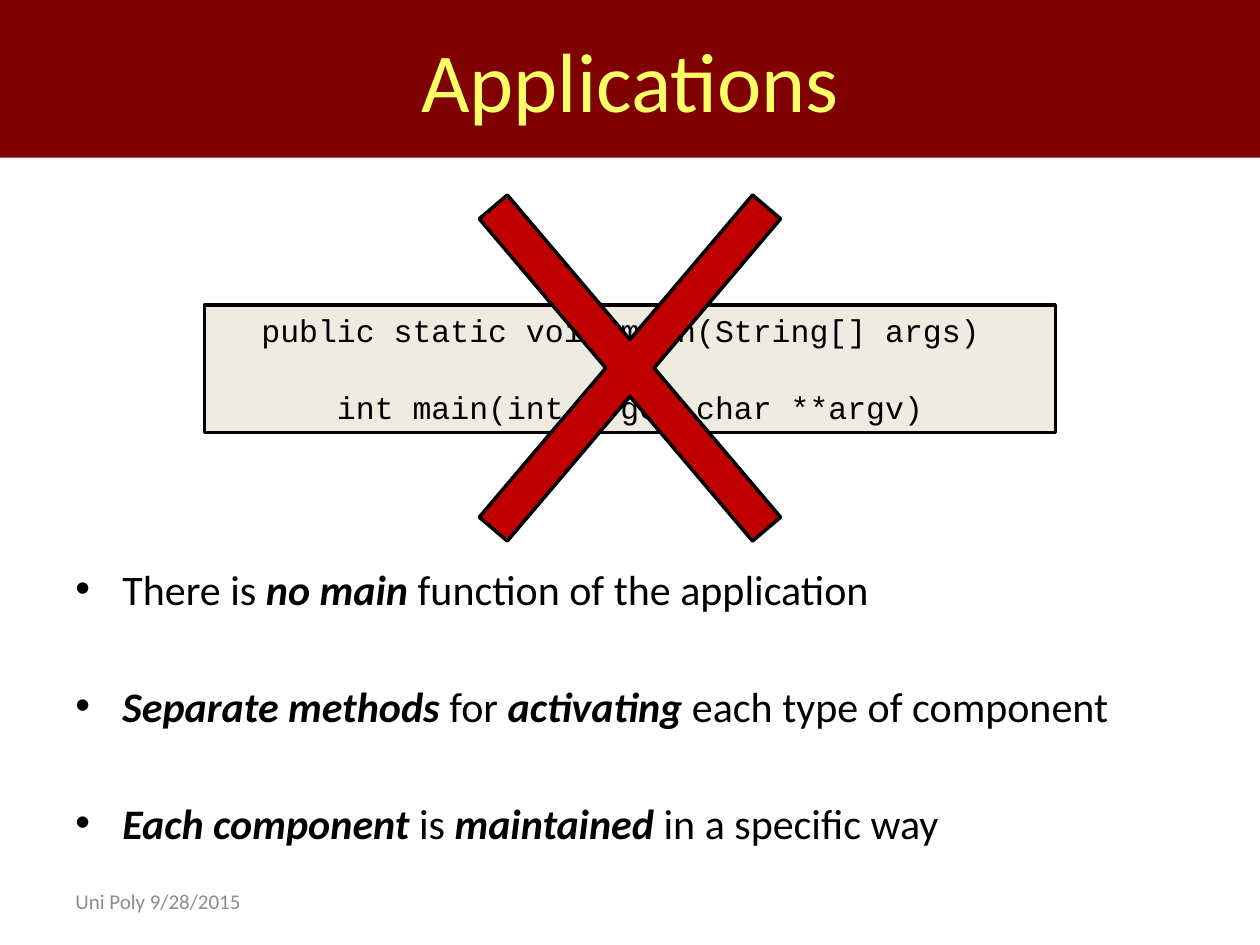
import pptx
import pptx.util
from lxml import etree
from pptx.dml.color import RGBColor
from pptx.enum.shapes import MSO_SHAPE
from pptx.enum.text import MSO_ANCHOR, MSO_AUTO_SIZE, PP_ALIGN
from pptx.oxml.ns import qn

Cm, Pt = pptx.util.Cm, pptx.util.Pt

TITLE = "Applications"
FOOTER = "Uni Poly 9/28/2015"
CODE = [
    "public static void main(String[] args) ",
    "int main(int argc, char **argv)",
]
# Each point is a list of (text, stressed) parts.
POINTS = [
    [("There is ", False), ("no main ", True),
     ("function of the application", False)],
    [("Separate methods ", True), ("for ", False), ("activating", True),
     (" each type of component", False)],
    [("Each component", True), (" is ", False), ("maintained", True),
     (" in a specific way", False)],
]
WIDE, HIGH = 25.4, 19.05
EDGE = 1.27
INDENT = 0.95


def color(text):
    return RGBColor.from_string(text)


def style(run, size, tint, face="Calibri"):
    run.font.size = Pt(size)
    run.font.name = face
    run.font.color.rgb = color(tint)


def place(shape, left, top, width, height):
    shape.left, shape.top = Cm(left), Cm(top)
    shape.width, shape.height = Cm(width), Cm(height)


def add_text(slide, *box):
    frame = slide.shapes.add_textbox(*map(Cm, box)).text_frame
    frame.word_wrap = True
    return frame


def add_block(slide, kind, fill, top, width, height):
    """Add an outlined shape centred across the slide."""
    left = (WIDE - width) / 2
    shape = slide.shapes.add_shape(kind, *map(Cm, (left, top, width, height)))
    shape.shadow.inherit = False
    shape.fill.solid()
    shape.fill.fore_color.rgb = color(fill)
    shape.line.color.rgb = color("000000")
    shape.line.width = Pt(2)
    return shape


def add_bullet(para):
    props = para._p.get_or_add_pPr()
    props.set("marL", str(Cm(INDENT)))
    props.set("indent", str(-Cm(INDENT)))
    etree.SubElement(props, qn("a:buFont")).set("typeface", "Arial")
    etree.SubElement(props, qn("a:buChar")).set("char", "•")


def add_title(slide):
    title = slide.shapes.title
    place(title, 0, 0, WIDE, 3.18)
    title.fill.solid()
    title.fill.fore_color.rgb = color("800000")
    frame = title.text_frame
    frame.text = TITLE
    frame.auto_size = MSO_AUTO_SIZE.NONE
    frame.vertical_anchor = MSO_ANCHOR.MIDDLE
    para = frame.paragraphs[0]
    para.alignment = PP_ALIGN.CENTER
    style(para.runs[0], 48, "FFFF66")


def add_code(slide):
    box = add_block(slide, MSO_SHAPE.RECTANGLE, "EEECE1", 6.15, 17.15, 2.57)
    frame = box.text_frame
    frame.text = "\n".join(CODE)
    frame.vertical_anchor = MSO_ANCHOR.TOP
    for i, para in enumerate(frame.paragraphs):
        para.alignment = PP_ALIGN.CENTER
        para.space_before = Pt(22 if i else 0)
        style(para.runs[0], 18, "000000", "Courier New")


def add_points(slide):
    frame = add_text(slide, EDGE, 11.23, WIDE - 2 * EDGE, 5.8)
    for i, parts in enumerate(POINTS):
        para = frame.add_paragraph() if i else frame.paragraphs[0]
        para.space_before = Pt(38 if i else 0)
        add_bullet(para)
        for text, stress in parts:
            run = para.add_run()
            run.text = text
            style(run, 24, "000000")
            run.font.bold = run.font.italic = stress


def add_footer(slide):
    frame = add_text(slide, EDGE, 17.65, 5.93, 1.02)
    frame.text = FOOTER
    frame.vertical_anchor = MSO_ANCHOR.MIDDLE
    style(frame.paragraphs[0].runs[0], 12, "8C8C8C")


def main():
    deck = pptx.Presentation()
    deck.slide_width, deck.slide_height = Cm(WIDE), Cm(HIGH)
    slide = deck.slides.add_slide(deck.slide_layouts[5])
    add_title(slide)
    add_code(slide)
    cross = add_block(slide, MSO_SHAPE.MATH_MULTIPLY, "C00000",
                      1.17, 10.6, 12.5)
    cross.adjustments[0] = 0.07
    add_points(slide)
    add_footer(slide)
    deck.save("out.pptx")


if __name__ == "__main__":
    main()
